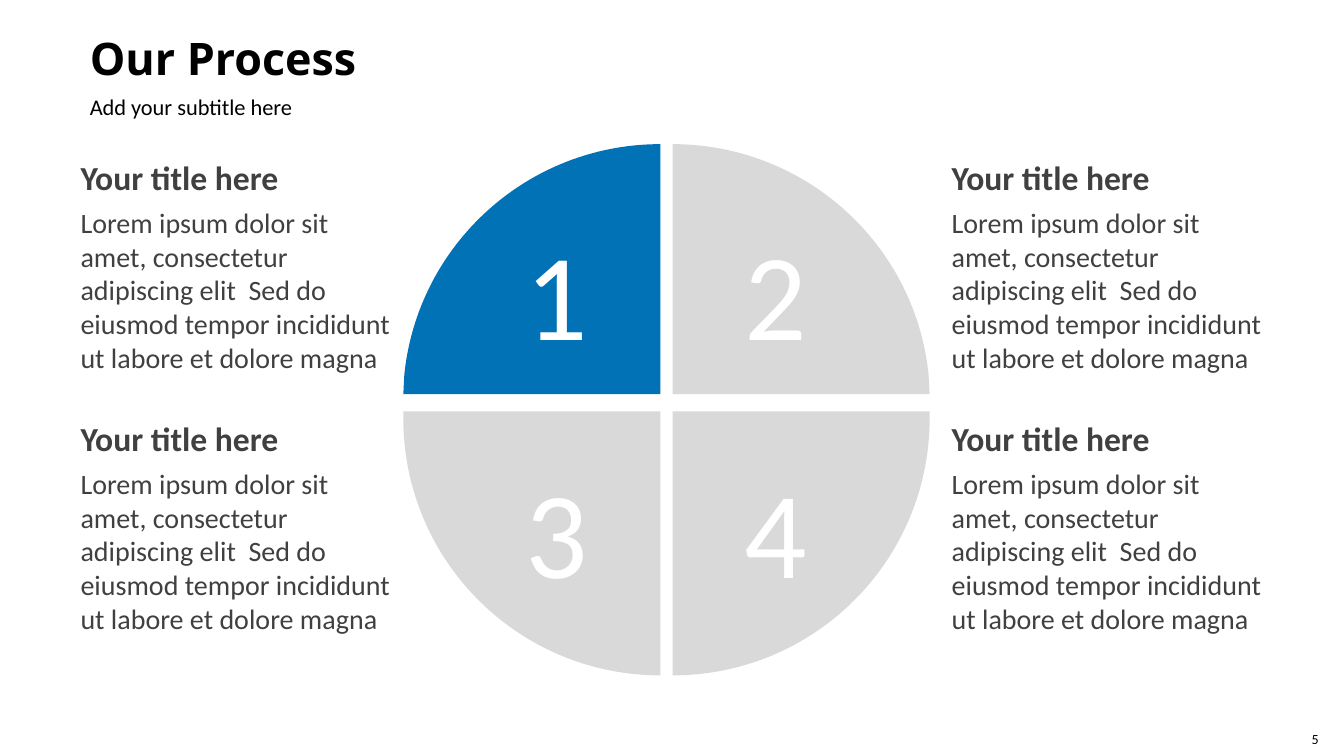
from lxml.etree import SubElement
from pptx import Presentation
from pptx.dml.color import RGBColor
from pptx.enum.text import MSO_ANCHOR, MSO_AUTO_SIZE, PP_ALIGN
from pptx.oxml.ns import qn
from pptx.util import Inches, Pt

COLORS = {"black": "000000", "white": "FFFFFF", "text": "404040",
          "accent": "0072B5", "muted": "D9D9D9"}
HEADING = "Your title here"
DESCRIPTION = ("Lorem ipsum dolor sit amet, consectetur adipiscing elit  Sed do "
               "eiusmod tempor incididunt ut labore et dolore magna")
# Outward distances from a quadrant's inner corner; the last three points
# are the two handles and the end of the curved edge.
UPPER_OUTLINE = [(2.55, 0), (2.54, 0.19), (2.41, 1.48), (1.32, 2.48), (0, 2.48)]
LOWER_OUTLINE = [(2.55, 0), (2.55, 0.07), (2.55, 1.48), (1.41, 2.62), (0, 2.62)]


def place(shape, box):
    shape.left, shape.top, shape.width, shape.height = map(Inches, box)


def write(shape, text, size, color="text", font="Calibri", bold=False,
          align=PP_ALIGN.LEFT, anchor=MSO_ANCHOR.TOP, wrap=True,
          insets=(0.1, 0.05, 0.1, 0.05)):
    frame = shape.text_frame
    frame.text = text
    frame.word_wrap = wrap
    frame.auto_size = MSO_AUTO_SIZE.SHAPE_TO_FIT_TEXT
    frame.vertical_anchor = anchor
    (frame.margin_left, frame.margin_top,
     frame.margin_right, frame.margin_bottom) = map(Inches, insets)
    paragraph = frame.paragraphs[0]
    paragraph.alignment = align
    paragraph.space_before = Pt(0)
    style = paragraph.runs[0].font
    style.name, style.size, style.bold = font, Pt(size), bold
    style.color.rgb = RGBColor.from_string(COLORS[color])


def add_text(slide, box, text, size, **formatting):
    label = slide.shapes.add_textbox(*map(Inches, box))
    write(label, text, size, **formatting)


def add_header(slide, box):
    left, top, width, height = box
    title = slide.shapes.title
    place(title, (left, top, width, 0.64))
    write(title, "Our Process", 32, color="black", font="Open Sans", bold=True,
          anchor=MSO_ANCHOR.MIDDLE)

    subtitle = slide.placeholders[1]
    place(subtitle, (left, top + height - 0.27, width, 0.27))
    write(subtitle, "Add your subtitle here", 16, color="black",
          insets=(0.1, 0, 0, 0))
    properties = subtitle.text_frame.paragraphs[0]._p.get_or_add_pPr()
    properties.set("marL", "0")
    properties.set("indent", "0")
    SubElement(properties, qn("a:buNone"))


def curve_last_edge(freeform):
    """Turn the last three line segments into one cubic curve."""
    segments = list(freeform._element.iter(qn("a:lnTo")))[-3:]
    curve = segments[0]
    for segment in segments[1:]:
        curve.append(segment[0])
        segment.getparent().remove(segment)
    curve.tag = qn("a:cubicBezTo")


def add_quadrant(slide, corner, side_x, side_y, color):
    """Draw a quarter disc from its inner corner; side_x and side_y are -1 or 1."""
    x, y = corner
    outline = UPPER_OUTLINE if side_y < 0 else LOWER_OUTLINE
    builder = slide.shapes.build_freeform(Inches(x), Inches(y))
    builder.add_line_segments([(Inches(x + side_x * across), Inches(y + side_y * away))
                               for across, away in outline])
    quadrant = builder.convert_to_shape()
    curve_last_edge(quadrant)
    quadrant.shadow.inherit = False
    quadrant.fill.solid()
    quadrant.fill.fore_color.rgb = RGBColor.from_string(COLORS[color])
    quadrant.line.fill.background()


def add_step_text(slide, box):
    left, top, width, height = box
    add_text(slide, (left, top, width, 0.5), HEADING, 24, bold=True)
    add_text(slide, (left, top + 0.48, width, height - 0.48), DESCRIPTION, 20)


def add_process(slide, box):
    """Place the four quadrants, their numbers and the texts beside them."""
    left, top, width, height = box
    text_width = 3.29
    columns = [  # side, inner edge, number left, text left
        (-1, left + 5.85, left + 4.41, left),
        (1, left + 5.97, left + 6.59, left + width - text_width)]
    rows = [  # side, inner edge, number top, text top
        (-1, top + 2.48, top + 0.68, top + 0.08),
        (1, top + height - 2.62, top + 3.04, top + 2.67)]
    steps = [(row, column) for row in rows for column in columns]
    for number, (row, column) in enumerate(steps, start=1):
        side_y, edge_y, number_top, text_top = row
        side_x, edge_x, number_left, text_left = column
        add_quadrant(slide, (edge_x, edge_y), side_x, side_y,
                     "accent" if number == 1 else "muted")
        add_text(slide, (number_left, number_top, 0.83, 1.58), str(number), 88,
                 color="white", wrap=False)
        add_step_text(slide, (text_left, text_top, text_width, 2.26))


def add_page_number(slide, box):
    add_text(slide, box, "5", 10, color="black", align=PP_ALIGN.RIGHT,
             anchor=MSO_ANCHOR.MIDDLE, wrap=False, insets=(0, 0, 0, 0))


def main():
    presentation = Presentation()
    presentation.slide_width = Inches(13.33)
    presentation.slide_height = Inches(7.5)
    slide = presentation.slides.add_slide(presentation.slide_layouts[1])
    add_header(slide, (0.79, 0.25, 11.83, 0.94))
    add_process(slide, (0.7, 1.43, 11.93, 5.27))
    add_page_number(slide, (12.92, 7.25, 0.16, 0.17))
    presentation.save("out.pptx")


if __name__ == "__main__":
    main()
